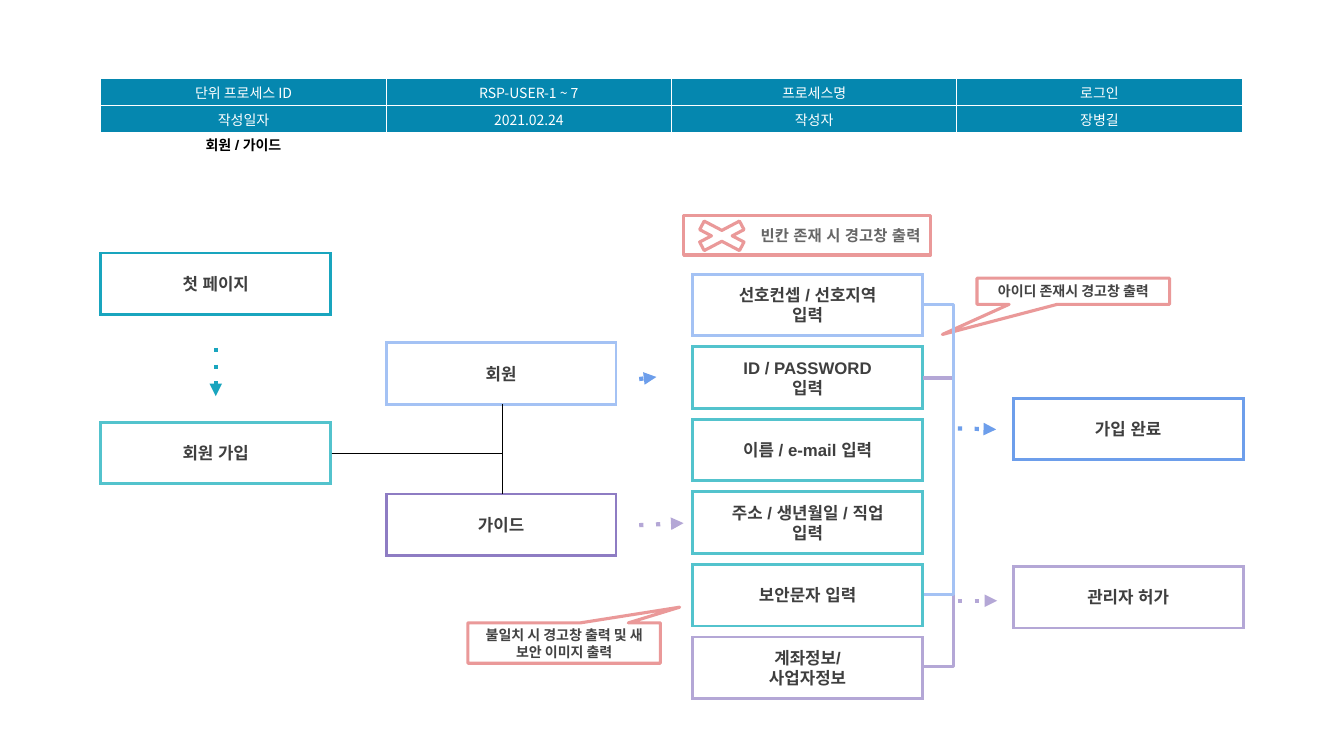
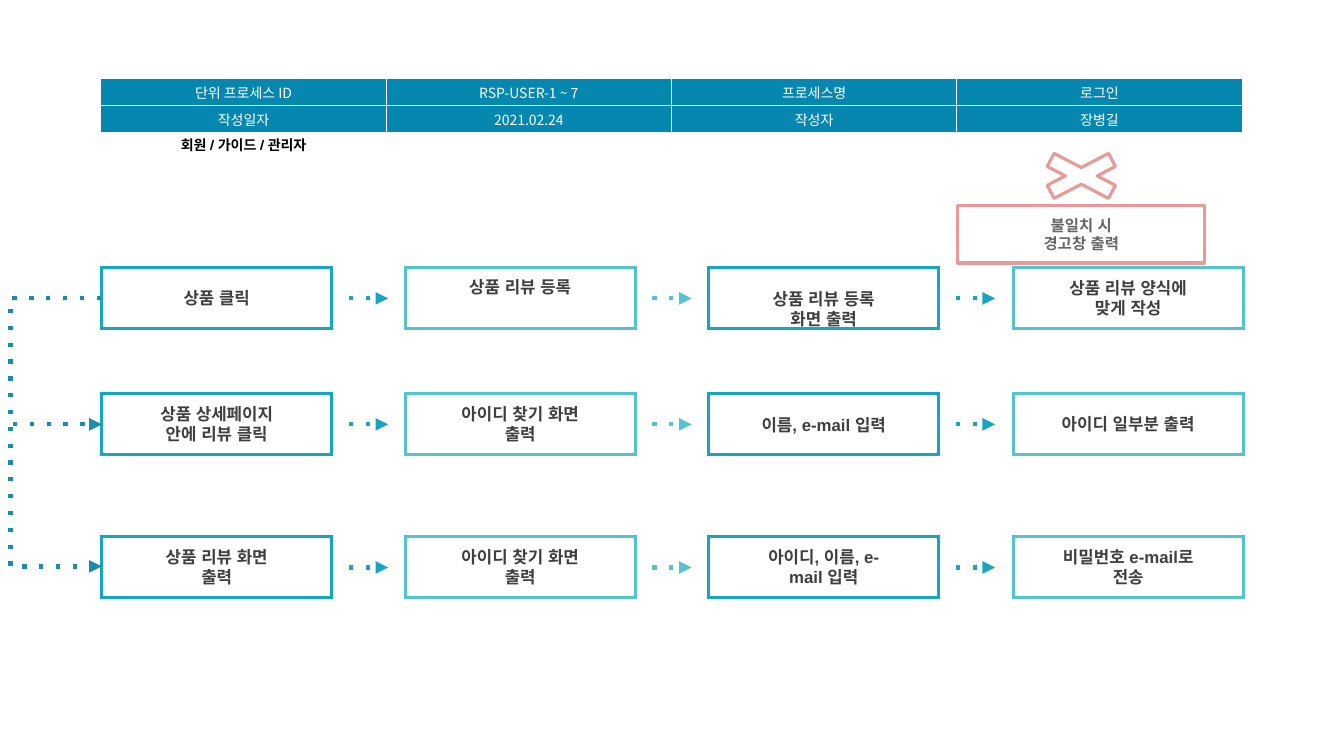
import pptx
import pptx.util
import pptx.dml.color
import pptx.enum.shapes
import pptx.enum.text
import pptx.oxml.ns
import lxml.etree

PX = 9144  # one hundred px to the inch
KIND = pptx.enum.shapes.MSO_SHAPE
LINK = pptx.enum.shapes.MSO_CONNECTOR
ALIGN = pptx.enum.text.PP_ALIGN
ANCHOR = pptx.enum.text.MSO_ANCHOR
qn = pptx.oxml.ns.qn
rgb = pptx.dml.color.RGBColor.from_string


class Theme:
    head, white, black = "0587AF", "FFFFFF", "000000"
    teal, aqua, deep = "19A5BE", "53C3CD", "1A8EA9"
    sky, blue, lilac, grape = "A4C2F4", "6D9EEB", "B4A7D6", "8E7CC3"
    pink, ink, note, warn = "EA9999", "3F3F3F", "434343", "666666"
    small, mid, large = 10, 11, 12
    sans, korean, label = "Arial", "Noto Sans CJK KR", "Manrope"


def write(frame, text, size=Theme.large, face=Theme.sans, tint=Theme.ink,
          bold=True, align=ALIGN.CENTER, anchor=ANCHOR.MIDDLE,
          pad=(10, 5, 10, 5), space=None):
    """Fill a text frame, one paragraph for each line of text."""
    frame.word_wrap = True
    frame.auto_size = pptx.enum.text.MSO_AUTO_SIZE.NONE
    frame.vertical_anchor = anchor
    (frame.margin_left, frame.margin_top,
     frame.margin_right, frame.margin_bottom) = [n * PX for n in pad]
    for i, part in enumerate(text.split("\n")):
        para = frame.add_paragraph() if i else frame.paragraphs[0]
        para.alignment = align
        para.space_before = pptx.util.Pt(0)
        if space:
            para.line_spacing = space
        run = para.add_run()
        run.text = part
        font = run.font
        font.size, font.bold, font.name = pptx.util.Pt(size), bold, face
        font.color.rgb = rgb(tint)
        east = lxml.etree.SubElement(font._element, qn("a:ea"))
        east.set("typeface", face)


# Text formats
step = dict(pad=(49, 0, 49, 0))
wide = dict(pad=(32, 0, 32, 0))
login = dict(pad=(44, 0, 44, 0))
high = dict(pad=(49, 10, 49, 0), anchor=ANCHOR.TOP)
low = dict(pad=(49, 21, 49, 0), anchor=ANCHOR.TOP)
hint = dict(size=Theme.small, face=Theme.korean, tint=Theme.note)
alert = dict(size=Theme.mid, tint=Theme.warn, pad=(10, 10, 10, 10),
             anchor=ANCHOR.TOP)

STEP_W, STEP_H = 228, 61

# Sign-up page: kind, place, line colour, text, format, adjustments
join_boxes = [
    (KIND.RECTANGLE, (x, y, STEP_W, STEP_H), tint, text, step, ())
    for x, y, tint, text in [
        (100, 251, Theme.teal, "첫 페이지"),
        (100, 419, Theme.aqua, "회원 가입"),
        (383, 340, Theme.sky, "회원"),
        (383, 490, Theme.grape, "가이드"),
        (1005, 395, Theme.blue, "가입 완료"),
        (1005, 562, Theme.lilac, "관리자 허가"),
    ]
]
fields = [
    (Theme.sky, "선호컨셉 / 선호지역\n입력", wide),
    (Theme.aqua, "ID / PASSWORD 입력", login),
    (Theme.aqua, "이름 / e-mail 입력", wide),
    (Theme.aqua, "주소 / 생년월일 / 직업 입력", wide),
    (Theme.aqua, "보안문자 입력", step),
    (Theme.lilac, "계좌정보/ 사업자정보", step),
]
for i, (tint, text, form) in enumerate(fields):
    place = (687, 272 + 72 * i, STEP_W, STEP_H)
    join_boxes.append((KIND.RECTANGLE, place, tint, text, form, ()))
join_boxes += [
    (KIND.RECTANGULAR_CALLOUT, (969, 276, 191, 26), Theme.pink,
     "아이디 존재시 경고창 출력", hint, (-0.68, 1.65)),
    (KIND.RECTANGULAR_CALLOUT, (464, 618, 191, 40), Theme.pink,
     "불일치 시 경고창 출력 및 새 보안 이미지 출력", hint, (0.6, -0.89)),
    (KIND.MATH_MULTIPLY, (678, 214, 76, 40), Theme.pink, "", {}, (0.24,)),
    (KIND.RECTANGLE, (678, 214, 245, 39), Theme.pink,
     "빈칸 존재 시 경고창 출력", dict(alert, align=ALIGN.RIGHT), ()),
]

# Links: ends, colour, width, dotted arrow, bend ("corner" or px to the side)
join_links = [
    ((214, 345, 214, 393), Theme.teal, 3, True, None),
    ((950, 425, 988, 426), Theme.blue, 3, True, None),
    ((950, 596, 989, 596), Theme.lilac, 3, True, None),
    ((634, 376, 651, 374), Theme.blue, 3, True, None),
    ((634, 521, 678, 519), Theme.lilac, 3, True, None),
    ((329, 450, 498, 401), Theme.black, 0.75, False, "corner"),
    ((329, 450, 498, 490), Theme.black, 0.75, False, "corner"),
    ((915, 375, 916, 661), Theme.lilac, 2.25, False, 31),
    ((915, 302, 916, 590), Theme.sky, 2.25, False, 31),
]

# Review page: three rows of four steps
rows = [
    (265, [("상품 클릭", step), ("상품 리뷰 등록", high),
           ("상품 리뷰 등록 화면 출력", low),
           ("상품 리뷰 양식에 맞게 작성", step)]),
    (390, [("상품 상세페이지 안에 리뷰 클릭", step),
           ("아이디 찾기 화면 출력", step), ("이름, e-mail 입력", low),
           ("아이디 일부분 출력", login)]),
    (532, [("상품 리뷰 화면 출력", step), ("아이디 찾기 화면 출력", step),
           ("아이디, 이름, e-mail 입력", step),
           ("비밀번호 e-mail로 전송", step)]),
]
view_boxes = [
    (KIND.MATH_MULTIPLY, (1014, 144, 117, 61), Theme.pink, "", {}, (0.24,)),
    (KIND.RECTANGLE, (950, 204, 245, 57), Theme.pink,
     "불일치 시\n경고창 출력", alert, ()),
]
view_links = [((100, 296, 101, y), Theme.deep, 3, True, -91)
              for y in (562, 421)]
for y, steps in rows:
    for col, (text, form) in enumerate(steps):
        x = 101 + col * 904 // 3
        tint = (Theme.teal, Theme.aqua)[col % 2]
        view_boxes.append((KIND.RECTANGLE, (x, y, STEP_W, STEP_H),
                           tint, text, form, ()))
        if col < 3:
            ends = (x + 245, y + 31, x + 284, y + 31)
            view_links.append((ends, tint, 3, True, None))

pages = [
    ("회원 / 가이드", join_boxes, join_links),
    ("회원 / 가이드 / 관리자", view_boxes, view_links),
]
header = [
    ["단위 프로세스 ID", "RSP-USER-1 ~ 7", "프로세스명", "로그인"],
    ["작성일자", "2021.02.24", "작성자", "장병길"],
]

deck = pptx.Presentation()
deck.slide_width, deck.slide_height = 1333 * PX, 750 * PX

for label, boxes, links in pages:
    slide = deck.slides.add_slide(deck.slide_layouts[2])
    title = slide.shapes.title._element
    title.getparent().remove(title)

    # Caption under the header
    body = slide.placeholders[1]
    body.left, body.top, body.width, body.height = [
        n * PX for n in (100, 132, 283, 26)]
    write(body.text_frame, label, size=Theme.small, face=Theme.label,
          tint=Theme.black, space=0.9)

    # Header table
    table = slide.shapes.add_table(
        2, 4, 100 * PX, 78 * PX, 1132 * PX, 54 * PX).table
    table.first_row = table.horz_banding = False
    for col in table.columns:
        col.width = 283 * PX
    for row, words in zip(table.rows, header):
        row.height = 27 * PX
        for cell, word in zip(row.cells, words):
            write(cell.text_frame, word, size=Theme.small, face=Theme.korean,
                  tint=Theme.white, bold=False)
            cell.vertical_anchor = ANCHOR.MIDDLE
            cell.margin_top = cell.margin_bottom = 3 * PX
            props = cell._tc.get_or_add_tcPr()
            for side in ("a:lnL", "a:lnR", "a:lnT", "a:lnB"):
                edge = lxml.etree.SubElement(props, qn(side), w="12700")
                fill = lxml.etree.SubElement(edge, qn("a:solidFill"))
                lxml.etree.SubElement(fill, qn("a:srgbClr"), val=Theme.white)
            cell.fill.solid()
            cell.fill.fore_color.rgb = rgb(Theme.head)

    # Boxes, callouts and crosses
    for kind, place, tint, text, form, turns in boxes:
        shape = slide.shapes.add_shape(kind, *[n * PX for n in place])
        shape.shadow.inherit = False
        shape.fill.background()
        shape.line.color.rgb = rgb(tint)
        shape.line.width = pptx.util.Pt(2.25 if tint == Theme.pink else 2)
        if tint != Theme.pink:
            lxml.etree.SubElement(shape.line._get_or_add_ln(),
                                  qn("a:miter"), lim="800000")
        for i, turn in enumerate(turns):
            shape.adjustments[i] = turn
        if text:
            write(shape.text_frame, text, **form)

    # Lines and arrows
    for ends, tint, width, arrow, bend in links:
        kind = LINK.ELBOW if bend else LINK.STRAIGHT
        link = slide.shapes.add_connector(kind, *[n * PX for n in ends])
        link.line.color.rgb = rgb(tint)
        link.line.width = pptx.util.Pt(width)
        props = link._element.spPr
        if arrow:
            line = link.line._get_or_add_ln()
            lxml.etree.SubElement(line, qn("a:prstDash"), val="dot")
            lxml.etree.SubElement(line, qn("a:tailEnd"), type="triangle")
        lxml.etree.SubElement(props, qn("a:effectLst"))
        shape = props.find(qn("a:prstGeom"))
        if bend == "corner":
            shape.set("prst", "bentConnector2")
        elif bend:
            # The ends are one px apart, so the bend is a multiple of that
            lxml.etree.SubElement(shape.find(qn("a:avLst")), qn("a:gd"),
                                  name="adj1", fmla=f"val {bend * 100000}")

deck.save("out.pptx")
